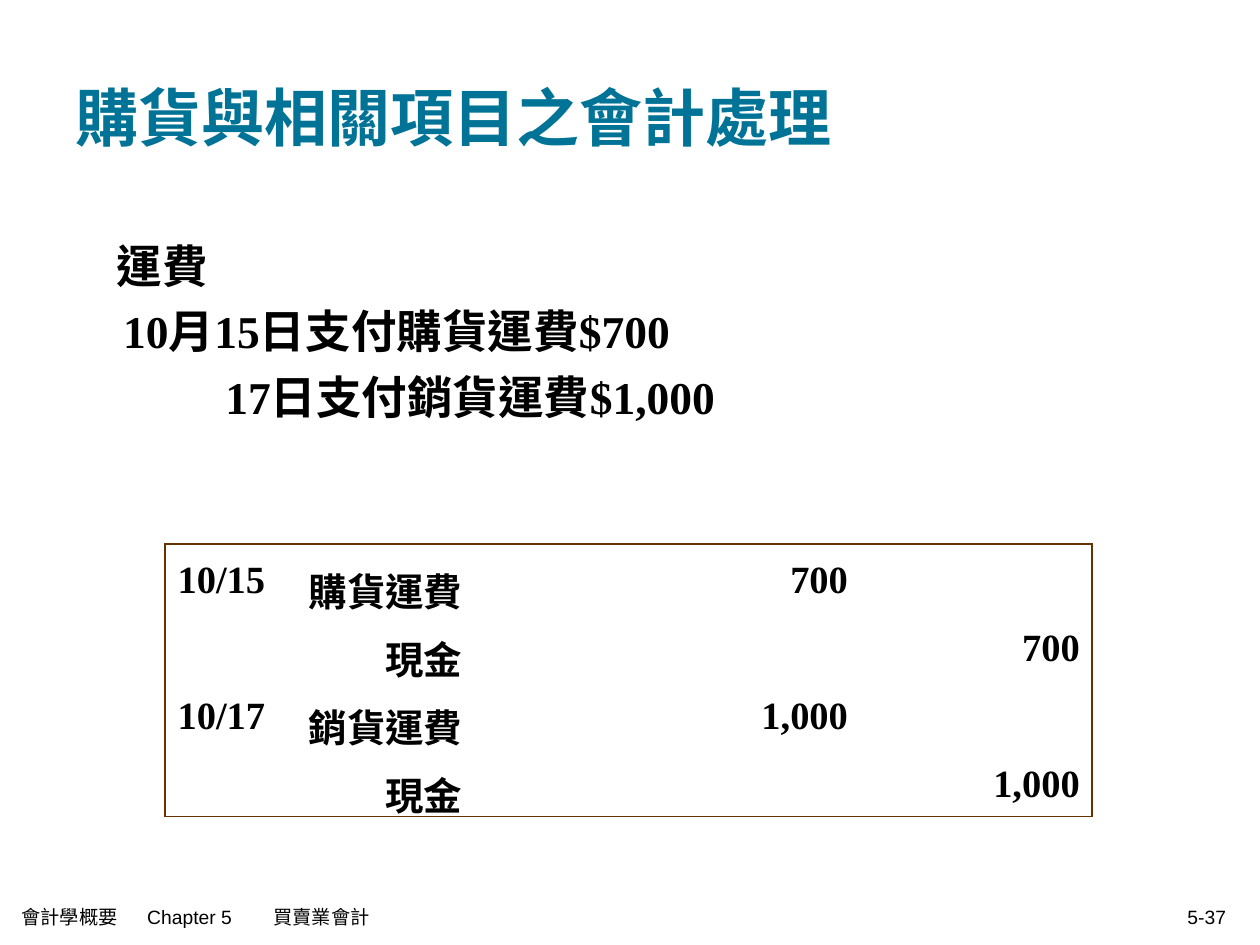
from lxml.etree import SubElement
from pptx import Presentation
from pptx.dml.color import RGBColor
from pptx.enum.lang import MSO_LANGUAGE_ID as Language
from pptx.enum.text import MSO_ANCHOR as Anchor, PP_ALIGN as Align
from pptx.oxml.ns import qn
from pptx.util import Inches, Pt

COLORS = {"title": "007396", "text": "000000", "border": "663300"}
SERIF, SANS = "Times New Roman", "Arial"
GRID_COLUMNS, GRID_ROWS = 20, 15
NO_TABLE_STYLE = "{2D5ABB26-0587-4C30-8999-92F81FD0307C}"


class SlideBuilder:
    """Places elements on a 20 by 15 grid of the current slide."""

    def __init__(self, presentation):
        self.slide = presentation.slides.add_slide(presentation.slide_layouts[6])
        self.column = presentation.slide_width / GRID_COLUMNS
        self.row = presentation.slide_height / GRID_ROWS

    def place(self, left, top, width, height):
        return (round(left * self.column), round(top * self.row),
                round(width * self.column), round(height * self.row))

    def style(self, paragraph, size, font=SERIF, color="text", bold=True,
              align=Align.LEFT, indent=0, tabs=(), spacing=None, before=0):
        properties = paragraph._p.get_or_add_pPr()
        properties.set("marL", str(Inches(indent)))
        properties.set("indent", "0")
        if tabs:
            tab_list = SubElement(properties, qn("a:tabLst"))
            for position in tabs:
                SubElement(tab_list, qn("a:tab"), pos=str(Inches(position)), algn="l")
        paragraph.alignment = align
        paragraph.line_spacing = spacing
        paragraph.space_before = Pt(before)
        for run in paragraph.runs:
            run.font.name, run.font.size, run.font.bold = font, Pt(size), bold
            run.font.color.rgb = RGBColor.from_string(COLORS[color])
            run.font.language_id = Language.TRADITIONAL_CHINESE

    def text(self, box, lines, size, anchor=Anchor.MIDDLE, indents=(0,), **style):
        frame = self.slide.shapes.add_textbox(*self.place(*box)).text_frame
        frame.word_wrap = True
        frame.vertical_anchor = anchor
        frame.text = "\n".join(lines)
        for paragraph, indent in zip(frame.paragraphs, indents):
            self.style(paragraph, size, indent=indent, **style)

    def border(self, cell, sides):
        properties = cell._tc.get_or_add_tcPr()
        for side in "LRTB":
            if side in sides:
                line = SubElement(properties, qn(f"a:ln{side}"), w=str(Pt(1.08)))
                fill = SubElement(line, qn("a:solidFill"))
                SubElement(fill, qn("a:srgbClr"), val=COLORS["border"])

    def journal(self, box, entries, widths):
        """Adds an outlined table of date, account, debit and credit."""
        last_row, last_column = len(entries) - 1, len(widths) - 1
        frame = self.slide.shapes.add_table(len(entries), len(widths), *self.place(*box))
        table = frame.table
        table._tbl.tblPr.find(qn("a:tableStyleId")).text = NO_TABLE_STYLE
        table.first_row = table.horz_banding = False
        for column, width in zip(table.columns, widths):
            column.width = round(width * self.column)
        for r, entry in enumerate(entries):
            is_credit = bool(entry[-1])
            for c, value in enumerate(entry):
                cell = table.cell(r, c)
                edges = {"L": c == 0, "R": c == last_column, "T": r == 0, "B": r == last_row}
                self.border(cell, [side for side, outer in edges.items() if outer])
                cell.fill.background()
                if value:
                    cell.text = value
                    self.style(cell.text_frame.paragraphs[0], 22, spacing=1.2, before=5.5,
                               align=Align.RIGHT if c >= 2 else Align.LEFT,
                               indent=0.61 if is_credit and c == 1 else 0)


def main():
    presentation = Presentation()
    presentation.slide_width, presentation.slide_height = Inches(10), Inches(7.5)
    builder = SlideBuilder(presentation)

    builder.text((1, 0.6, 18, 2.5), ["購貨與相關項目之會計處理"], 36, color="title")
    builder.text((1, 3.5, 18, 9.9),
                 ["運費", "10月15日支付購貨運費$700", "17日支付銷貨運費$1,000"],
                 26, anchor=Anchor.TOP, indents=(0.33, 0.38, 1.19), spacing=1.2)
    builder.journal((2.62, 8.64, 14.72, 4.32), [
        ("10/15", "購貨運費", "700", ""),
        ("", "現金", "", "700"),
        ("10/17", "銷貨運費", "1,000", ""),
        ("", "現金", "", "1,000"),
    ], widths=(2.08, 5.28, 3.68, 3.68))

    footer = {"size": 11, "font": SANS, "bold": False}
    builder.text((0.14, 14.22, 10.2, 0.66), ["會計學概要\tChapter 5\t買賣業會計"],
                 tabs=(0.91, 1.74), **footer)
    builder.text((15, 14.22, 4.66, 0.66), ["5-37"], align=Align.RIGHT, **footer)
    presentation.save("out.pptx")


if __name__ == "__main__":
    main()
